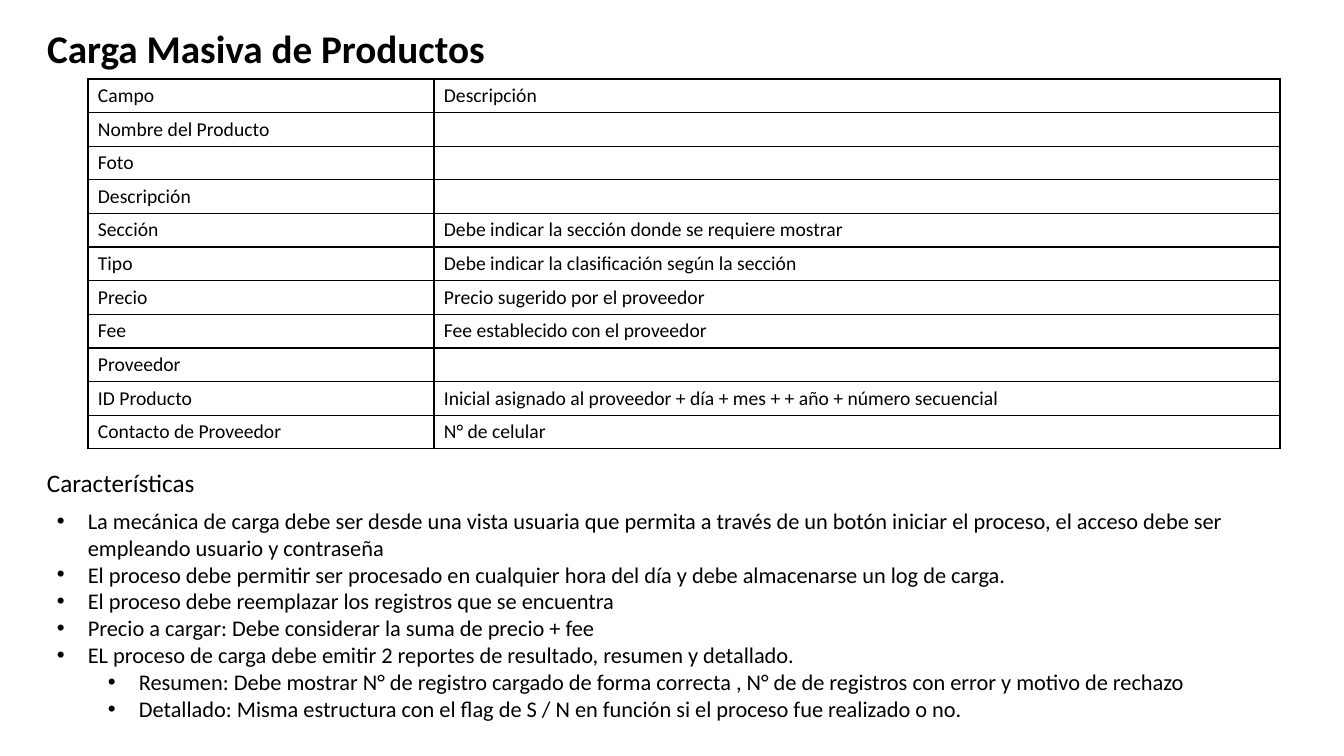
import pptx
import pptx.util
import pptx.dml.color
import pptx.enum.text
import pptx.oxml.ns
from lxml import etree

PX = 914400 / 100.8
COLORS = {"text": "000000", "border": "000000", "cell": "FFFFFF"}
FONT = "Calibri"
qn = pptx.oxml.ns.qn

FIELDS = [
    ("Campo", "Descripción"),
    ("Nombre del Producto", ""),
    ("Foto", ""),
    ("Descripción", ""),
    ("Sección", "Debe indicar la sección donde se requiere mostrar"),
    ("Tipo", "Debe indicar la clasificación según la sección"),
    ("Precio", "Precio sugerido por el proveedor"),
    ("Fee", "Fee establecido con el proveedor"),
    ("Proveedor", ""),
    ("ID Producto", "Inicial asignado al proveedor + día + mes + + año + número secuencial"),
    ("Contacto de Proveedor", "N° de celular"),
]
FEATURES = [
    (0, "La mecánica de carga debe ser desde una vista usuaria que permita a través de un "
        "botón iniciar el proceso, el acceso debe ser empleando usuario y contraseña"),
    (0, "El proceso debe permitir ser procesado en cualquier hora del día y debe almacenarse "
        "un log de carga."),
    (0, "El proceso debe reemplazar los registros que se encuentra"),
    (0, "Precio a cargar: Debe considerar la suma de precio + fee"),
    (0, "EL proceso de carga debe emitir 2 reportes de resultado, resumen y detallado."),
    (1, "Resumen: Debe mostrar N° de registro cargado de forma correcta , N° de de registros "
        "con error y motivo de rechazo"),
    (1, "Detallado: Misma estructura con el flag de S / N en función si el proceso fue "
        "realizado o no."),
]


def px(n):
    return pptx.util.Emu(round(n * PX))


def rgb(name):
    return pptx.dml.color.RGBColor.from_string(COLORS[name])


def add_run(p, text, size, bold=False):
    r = p.add_run()
    r.text = text
    formats = {"name": FONT, "size": pptx.util.Pt(size), "bold": bold}
    for key, value in formats.items():
        setattr(r.font, key, value)
    r.font.color.rgb = rgb("text")


def set_title(s, text, left, top, width, height):
    title = s.shapes.title
    for key, value in zip(("left", "top", "width", "height"), (left, top, width, height)):
        setattr(title, key, px(value))
    tf = title.text_frame
    tf.vertical_anchor = pptx.enum.text.MSO_ANCHOR.TOP
    tf.auto_size = pptx.enum.text.MSO_AUTO_SIZE.SHAPE_TO_FIT_TEXT
    p = tf.paragraphs[0]
    p.alignment = pptx.enum.text.PP_ALIGN.LEFT
    add_run(p, text, 28, bold=True)


def add_text(s, items, size, left, top, width, height, bulleted=False):
    sp = s.shapes.add_textbox(px(left), px(top), px(width), px(height))
    tf = sp.text_frame
    tf.word_wrap = True
    tf.auto_size = pptx.enum.text.MSO_AUTO_SIZE.SHAPE_TO_FIT_TEXT
    for i, (level, text) in enumerate(items):
        p = tf.add_paragraph() if i else tf.paragraphs[0]
        p.level = level
        if bulleted:
            add_bullet(p, level)
        add_run(p, text, size)


def add_bullet(p, level):
    pPr = p._p.get_or_add_pPr()
    pPr.set("marL", str(px(31 + 51 * level)))
    pPr.set("indent", str(px(-31)))
    etree.SubElement(pPr, qn("a:buFont"), typeface="Arial")
    etree.SubElement(pPr, qn("a:buChar"), char="•")


def add_borders(cell):
    tcPr = cell._tc.get_or_add_tcPr()
    for i, side in enumerate(("lnL", "lnR", "lnT", "lnB")):
        ln = etree.Element(qn("a:" + side), w=str(pptx.util.Pt(1)))
        fill = etree.SubElement(ln, qn("a:solidFill"))
        etree.SubElement(fill, qn("a:srgbClr"), val=COLORS["border"])
        tcPr.insert(i, ln)


def format_cell(cell, text, size):
    formats = {"margin_left": px(10), "margin_right": px(10),
               "margin_top": px(4), "margin_bottom": px(4),
               "vertical_anchor": pptx.enum.text.MSO_ANCHOR.MIDDLE}
    for key, value in formats.items():
        setattr(cell, key, value)
    cell.fill.solid()
    cell.fill.fore_color.rgb = rgb("cell")
    add_borders(cell)
    p = cell.text_frame.paragraphs[0]
    if text:
        add_run(p, text, size)
    else:
        # Keeps empty cells from stretching their row
        etree.SubElement(p._p, qn("a:endParaRPr"), sz=str(size * 100))


def add_field_table(s, rows, widths, left, top, height):
    frame = s.shapes.add_table(len(rows), len(widths), px(left), px(top),
                               px(sum(widths)), px(height))
    table = frame.table
    table.first_row = table.horz_banding = False
    for column, width in zip(table.columns, widths):
        column.width = px(width)
    for i, row in enumerate(rows):
        table.rows[i].height = px(height / len(rows))
        for j, text in enumerate(row):
            format_cell(table.cell(i, j), text, 14)


def main():
    prs = pptx.Presentation()
    prs.slide_width, prs.slide_height = px(1344), px(756)
    s = prs.slides.add_slide(prs.slide_layouts[5])

    # Title and field table
    set_title(s, "Carga Masiva de Productos", 37, 19, 531, 57)
    add_field_table(s, FIELDS, (346, 846), 88, 79, 370)

    # Features
    add_text(s, [(0, "Características")], 18, 37, 462, 194, 40)
    add_text(s, FEATURES, 16, 47, 502, 1273, 231, bulleted=True)

    prs.save("out.pptx")


if __name__ == "__main__":
    main()
